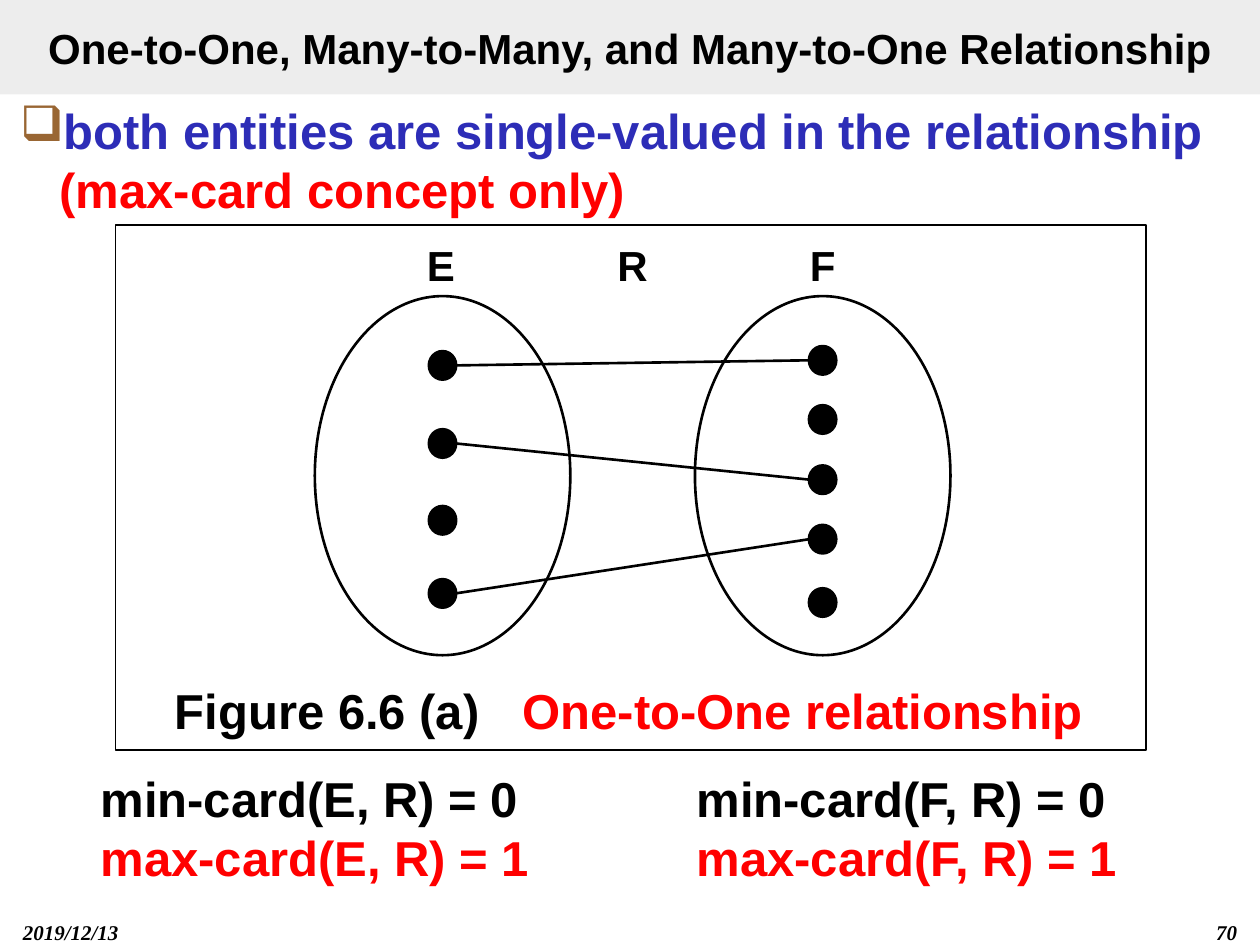
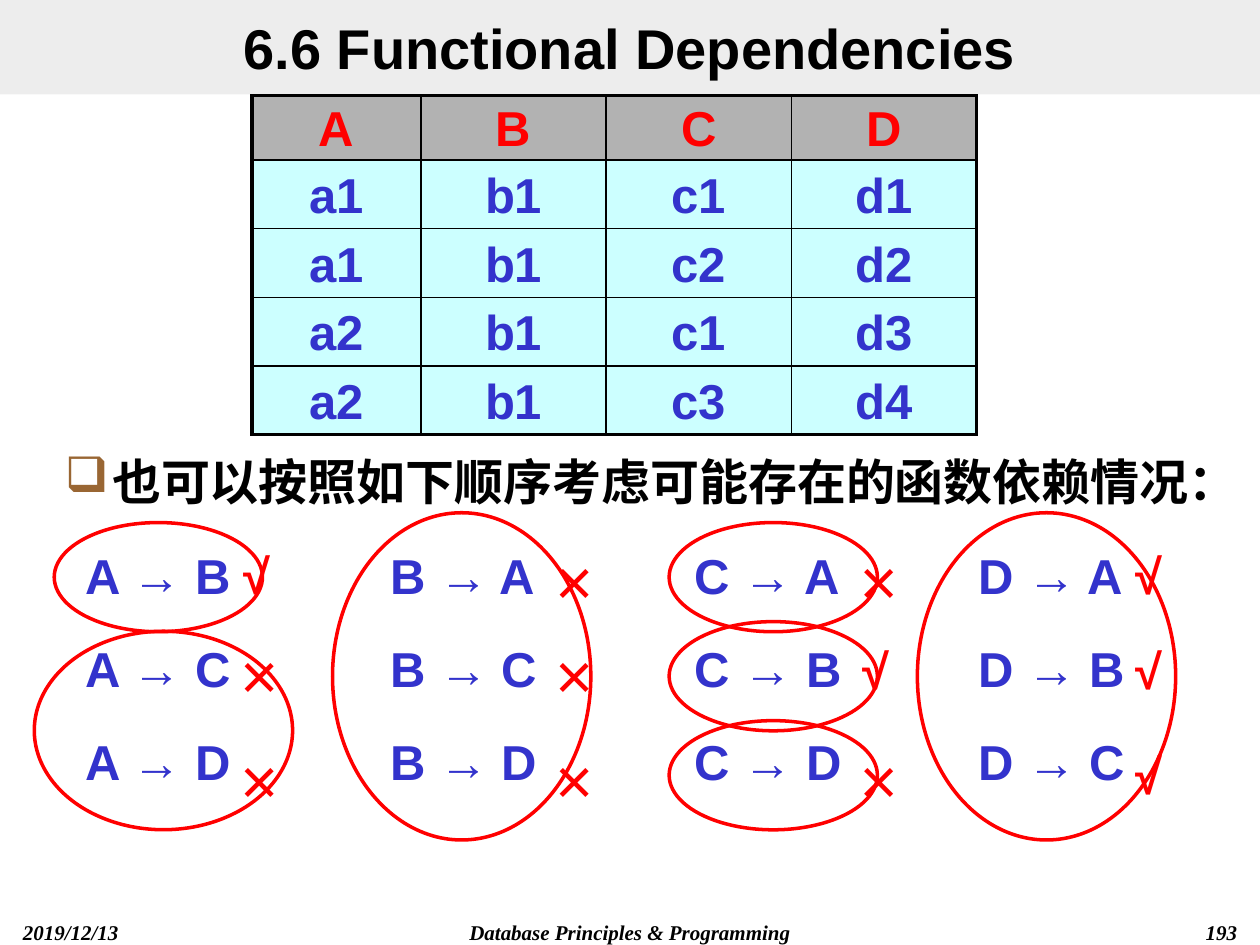
from dataclasses import dataclass
from itertools import product
from lxml.etree import SubElement as Sub
from pptx import Presentation
from pptx.dml.color import RGBColor as Rgb
from pptx.enum.shapes import MSO_CONNECTOR as Conn, MSO_SHAPE as Kind
from pptx.enum.text import MSO_ANCHOR as Anchor, PP_ALIGN as Align
from pptx.oxml.ns import qn
from pptx.util import Pt

HUE = {
    "black": "000000", "white": "FFFFFF", "band": "DDDDDD", "bullet": "996633",
    "red": "FF0000", "navy": "2D2DB7", "blue": "3333CC", "head": "B2B2B2", "cell": "CCFFFF",
}
SANS, SERIF = "Arial", "Times New Roman"
DATE = "2019/12/13"


@dataclass
class Box:
    x: float
    y: float
    w: float
    h: float

    def pts(self) -> list:
        return [Pt(v) for v in (self.x, self.y, self.w, self.h)]


@dataclass
class Style:
    size: float = 28
    hue: str = "black"
    align: Align = Align.LEFT
    font: str = SANS
    slant: bool = False
    gap: float = 0


@dataclass
class Rules:
    """One column of dependencies and the verdict on each."""
    left: str
    rights: str
    marks: str
    box: Box
    mark_x: float


def rgb(name: str) -> Rgb:
    return Rgb.from_string(HUE[name])


# Text
def style_run(run, st: Style, hue: str = "") -> None:
    font = run.font
    font.name, font.size = st.font, Pt(st.size)
    font.bold, font.italic = True, st.slant
    font.color.rgb = rgb(hue or st.hue)


def fill_text(frame, text: str, st: Style, hues: tuple = ()) -> None:
    frame.text = text
    for i, para in enumerate(frame.paragraphs):
        para.alignment = st.align
        para.line_spacing = Pt(round(st.size * 1.2, 1))
        para.space_before = Pt(st.gap if i else 0)
        for run in para.runs:
            style_run(run, st, hues[i] if hues else "")


def add_text(slide, box: Box, text: str, st: Style, hues: tuple = (), fill: str = ""):
    shape = slide.shapes.add_textbox(*box.pts())
    shape.text_frame.word_wrap = True
    if fill:
        shape.fill.solid()
        shape.fill.fore_color.rgb = rgb(fill)
    fill_text(shape.text_frame, text, st, hues)
    return shape


def add_item(slide, box: Box, text: str, st: Style, hang: float, tail: str = "") -> None:
    """Bulleted line, with an optional red tail."""
    para = add_text(slide, box, text, st).text_frame.paragraphs[0]
    props = para._p.get_or_add_pPr()
    props.set("marL", str(Pt(27)))
    props.set("indent", str(-Pt(hang)))
    tint = Sub(props, qn("a:buClr"))
    Sub(tint, qn("a:srgbClr"), val=HUE["bullet"])
    Sub(props, qn("a:buChar"), char="❑")
    if tail:
        run = para.add_run()
        run.text = tail
        style_run(run, st, "red")


# Shapes
def add_form(slide, kind: Kind, box: Box, fill: str = "", line: str = "", width: float = 1):
    shape = slide.shapes.add_shape(kind, *box.pts())
    shape.shadow.inherit = False
    if fill:
        shape.fill.solid()
        shape.fill.fore_color.rgb = rgb(fill)
    else:
        shape.fill.background()
    if line:
        shape.line.color.rgb = rgb(line)
        shape.line.width = Pt(width)
    else:
        shape.line.fill.background()
    return shape


def add_link(slide, x1: float, y1: float, x2: float, y2: float) -> None:
    link = slide.shapes.add_connector(Conn.STRAIGHT, Pt(x1), Pt(y1), Pt(x2), Pt(y2))
    link.line.color.rgb = rgb("black")
    link.line.width = Pt(1.5)
    Sub(link._element.spPr, qn("a:effectLst"))


# Title band and footers
def new_slide(deck, title: str, size: float, page: str, note: str = ""):
    slide = deck.slides.add_slide(deck.slide_layouts[6])
    feet = [(6, 150, DATE, Align.LEFT), (204, 312, note, Align.CENTER), (564, 150, page, Align.RIGHT)]
    for x, w, text, align in feet:
        if text:
            add_text(slide, Box(x, 522, w, 18), text, Style(12, align=align, font=SERIF, slant=True))
    band = add_form(slide, Kind.RECTANGLE, Box(0, 0, 720, 54), "band")
    tint = band.fill._xPr.find(".//" + qn("a:srgbClr"))
    Sub(tint, qn("a:alpha"), val="50000")
    frame = band.text_frame
    frame.word_wrap, frame.vertical_anchor = True, Anchor.MIDDLE
    frame.margin_top = frame.margin_bottom = 0
    fill_text(frame, title, Style(size, align=Align.CENTER))
    return slide


# Slide 1: entity sets and their links
def draw_sets(slide) -> None:
    dot_w, dot_h = 15.1, 15.8
    e_x, f_x = 245.3, 462.5
    e_ys = (200.9, 245.5, 289.4, 331.2)
    f_ys = (198, 231.8, 266.2, 300.2, 336.4)
    links = ((0, 0), (1, 2), (3, 3))
    for x, ys in ((e_x, e_ys), (f_x, f_ys)):
        add_form(slide, Kind.OVAL, Box(x - 65.4, 169.2, 146, 205.2), line="black", width=1.5)
        for y in ys:
            add_form(slide, Kind.OVAL, Box(x, y, dot_w, dot_h), "black", "black", 2)
    for e, f in links:
        add_link(slide, e_x + dot_w, e_ys[e] + dot_h / 2, f_x, f_ys[f] + dot_h / 2)
    for name, x in (("E", 229.6), ("F", 447.8), ("R", 339)):
        add_text(slide, Box(x, 133.2, 44.8, 36), name, Style(24, align=Align.CENTER))


def build_sets(deck) -> None:
    slide = new_slide(deck, "One-to-One, Many-to-Many, and Many-to-One Relationship", 24, "70")
    add_item(slide, Box(0, 54, 720, 75), "both entities are single-valued in the relationship ",
             Style(hue="navy"), 22.5, "(max-card concept only)")
    draw_sets(slide)
    mid = Style(align=Align.CENTER)
    add_text(slide, Box(80, 385.2, 214, 41), "Figure 6.6 (a)", mid, fill="white")
    for name, x in (("E", 50.4), ("F", 391)):
        add_text(slide, Box(x, 435.6, 276.5, 75), f"min-card({name}, R) = 0\nmax-card({name}, R) = 1",
                 Style(align=Align.JUSTIFY), ("black", "red"), "white")
    add_form(slide, Kind.RECTANGLE, Box(66, 128.4, 589, 300), line="black")
    add_text(slide, Box(284.4, 385.2, 348.5, 41), "One-to-One relationship", mid, ("red",), "white")


# Slide 2: table and dependency checks
def edge_cell(cell, widths: dict) -> None:
    props = cell._tc.get_or_add_tcPr()
    for i, (side, width) in enumerate(widths.items()):
        line = props.makeelement(qn(f"a:ln{side}"), {"w": str(Pt(width))})
        Sub(Sub(line, qn("a:solidFill")), qn("a:srgbClr"), val=HUE["black"])
        props.insert(i, line)


def draw_table(slide) -> None:
    rows = ("A B C D", "a1 b1 c1 d1", "a1 b1 c2 d2", "a2 b1 c1 d3", "a2 b1 c3 d4")
    wides = (96.6, 105.8, 105.8, 105.8)
    highs = (36.7, 39.3, 39.3, 39.2, 39.2)
    box = Box(144, 54.7, sum(wides), sum(highs))
    table = slide.shapes.add_table(len(rows), len(wides), *box.pts()).table
    for col, wide in zip(table.columns, wides):
        col.width = Pt(wide)
    for row, high in zip(table.rows, highs):
        row.height = Pt(high)
    for r, c in product(range(len(rows)), range(len(wides))):
        cell = table.cell(r, c)
        cell.margin_top = cell.margin_bottom = 0
        cell.vertical_anchor = Anchor.MIDDLE
        cell.fill.solid()
        cell.fill.fore_color.rgb = rgb("cell" if r else "head")
        fill_text(cell.text_frame, rows[r].split()[c],
                  Style(hue="blue" if r else "red", align=Align.CENTER))
        outer = {"L": c == 0, "R": c == len(wides) - 1, "T": r == 0, "B": r == len(rows) - 1}
        edge_cell(cell, {side: 2.25 if out else 1 for side, out in outer.items()})


def draw_rules(slide) -> None:
    cols = (
        Rules("A", "BCD", "√☓☓", Box(42, 308.2, 150, 156), 132),
        Rules("B", "ACD", "☓☓☓", Box(216, 308.2, 144, 174), 312),
        Rules("C", "ABD", "☓√☓", Box(390, 308.2, 138, 174), 486),
        Rules("D", "ABC", "√√√", Box(552, 308.2, 144, 174), 642),
    )
    for col in cols:
        text = "\n".join(f"{col.left} → {right}" for right in col.rights)
        add_text(slide, col.box, text, Style(hue="blue", gap=19.6), fill="white")
    for col in cols:
        for mark, y in zip(col.marks, (308.2, 362.2, 422.4)):
            if mark == "√":
                add_text(slide, Box(col.mark_x, y, 48, 48), mark, Style(hue="red"))
            else:
                add_text(slide, Box(col.mark_x, y + 6, 48, 42), mark,
                         Style(24, "red", font=SERIF))


def build_rules(deck) -> None:
    slide = new_slide(deck, "6.6 Functional Dependencies", 32, "193",
                      "Database Principles & Programming")
    add_item(slide, Box(30, 254.2, 690, 48), "也可以按照如下顺序考虑可能存在的函数依赖情况：", Style(), 27)
    draw_table(slide)
    draw_rules(slide)
    # Rings around the groups: tall, wide, then small ones
    rings = [Box(x, 293, 147.6, 187) for x in (190, 524.2)]
    rings.append(Box(19.6, 360.7, 147.6, 113.4))
    rings += [Box(x, y, 119, 62.4)
              for x, y in ((31, 298.6), (382.4, 298.6), (382.4, 355.2), (382.4, 411.8))]
    for ring in rings:
        add_form(slide, Kind.OVAL, ring, line="red", width=2)


def main() -> None:
    deck = Presentation()
    deck.slide_width, deck.slide_height = Pt(720), Pt(540)
    build_sets(deck)
    build_rules(deck)
    deck.save("out.pptx")


if __name__ == "__main__":
    main()
